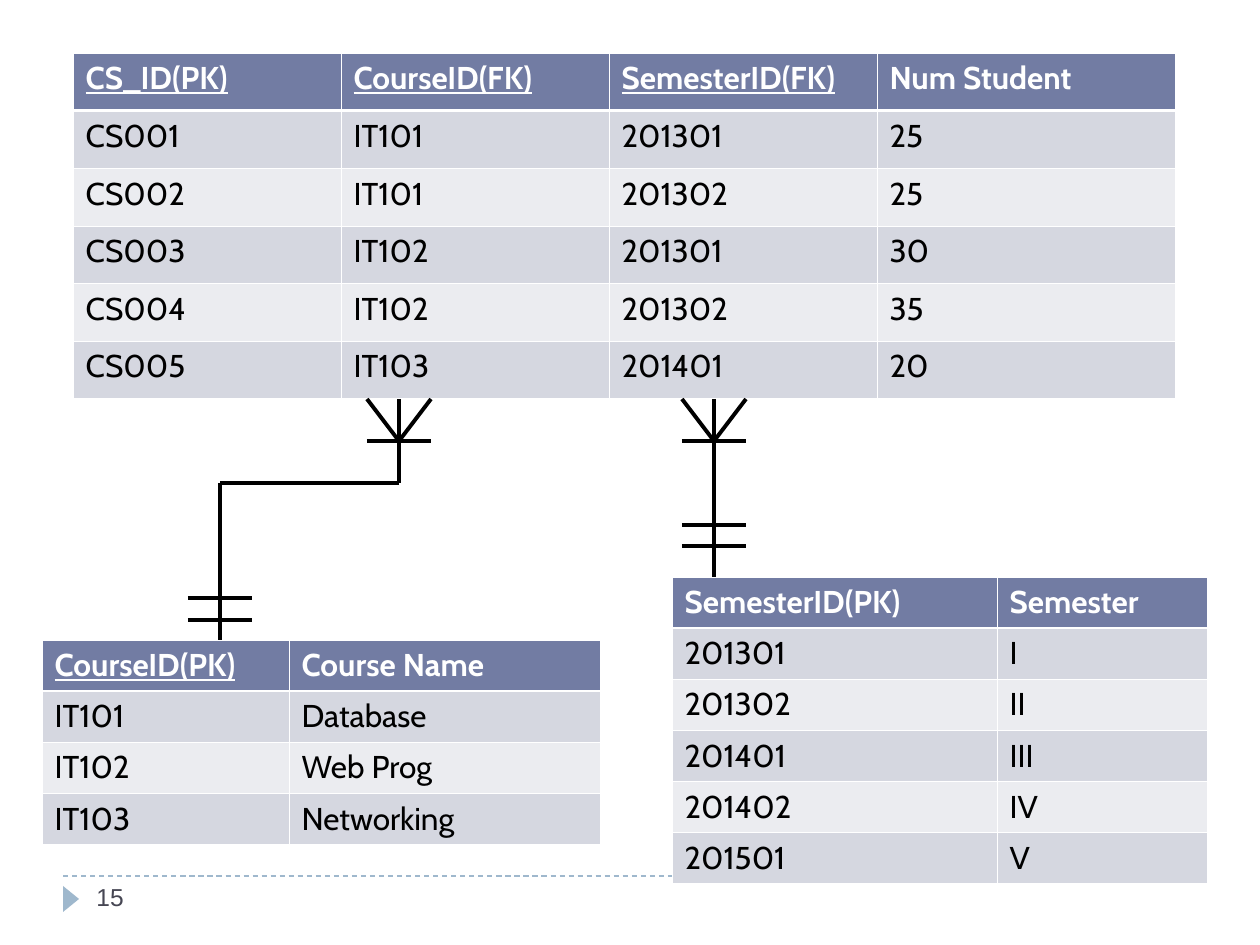
from dataclasses import dataclass
from lxml.etree import SubElement
from pptx import Presentation
from pptx.dml.color import RGBColor
from pptx.enum.dml import MSO_LINE
from pptx.enum.shapes import MSO_CONNECTOR, MSO_SHAPE
from pptx.oxml import parse_xml
from pptx.oxml.ns import nsdecls, qn
from pptx.util import Emu, Pt


@dataclass(frozen=True)
class Theme:
    header: str = "727CA3"
    bands: tuple = ("D5D7E0", "EBECF0")
    white: str = "FFFFFF"
    ink: str = "000000"
    accent: str = "9FB8CD"
    number: str = "464653"
    table_font: str = "Cabin"
    number_font: str = "Arial"
    table_size: int = 18
    number_size: int = 14
    relation_width: float = 2.25
    footer_width: float = 0.75
    grid_width: float = 0.45
    header_rule: float = 1.47


THEME = Theme()
PX = 914400 / 126

SEMESTERS = {
    "at": (672, 577), "columns": (325, 210), "height": 305, "keys": (),
    "rows": [
        ("SemesterID(PK)", "Semester"),
        ("201301", "I"),
        ("201302", "II"),
        ("201401", "III"),
        ("201402", "IV"),
        ("201501", "V"),
    ],
}
COURSES = {
    "at": (42, 640), "columns": (247, 311), "height": 204, "keys": (0,),
    "rows": [
        ("CourseID(PK)", "Course Name"),
        ("IT101", "Database"),
        ("IT102", "Web Prog"),
        ("IT103", "Networking"),
    ],
}
COURSE_SEMESTERS = {
    "at": (73, 53), "columns": (268, 268, 268, 298), "height": 346, "keys": (0, 1, 2),
    "rows": [
        ("CS_ID(PK)", "CourseID(FK)", "SemesterID(FK)", "Num Student"),
        ("CS001", "IT101", "201301", "25"),
        ("CS002", "IT101", "201302", "25"),
        ("CS003", "IT102", "201301", "30"),
        ("CS004", "IT102", "201302", "35"),
        ("CS005", "IT103", "201401", "20"),
    ],
}
MANY_TOP, MANY_BASE, HALF_BAR = 399, 441, 32
RELATIONS = [
    {"route": [(399, MANY_TOP), (399, 483), (220, 483), (220, 640)], "one_bars": (598, 620)},
    {"route": [(714, MANY_TOP), (714, 577)], "one_bars": (525, 546)},
]
PAGE_NUMBER = "15"


def px(length):
    return Emu(round(length * PX))


def rgb(color):
    return RGBColor.from_string(color)


def style_run(run, font, size, color, bold=False, underline=False):
    run.font.name = font
    run.font.size = Pt(size)
    run.font.bold = bold
    run.font.underline = underline
    run.font.color.rgb = rgb(color)


def add_line(slide, start, end, color=THEME.ink, width=THEME.relation_width):
    line = slide.shapes.add_connector(MSO_CONNECTOR.STRAIGHT, *map(px, (*start, *end)))
    line.line.color.rgb = rgb(color)
    line.line.width = Pt(width)
    SubElement(line._element.spPr, qn("a:effectLst"))
    return line


def set_borders(cell, top, bottom):
    widths = {"lnL": THEME.grid_width, "lnR": THEME.grid_width, "lnT": top, "lnB": bottom}
    for position, (side, width) in enumerate(widths.items()):
        border = parse_xml(
            f'<a:{side} {nsdecls("a")} w="{Pt(width)}"><a:solidFill>'
            f'<a:srgbClr val="{THEME.white}"/></a:solidFill></a:{side}>'
        )
        cell._tc.get_or_add_tcPr().insert(position, border)


def add_entity(slide, entity):
    rows, columns = entity["rows"], entity["columns"]
    table = slide.shapes.add_table(
        len(rows), len(columns),
        *map(px, (*entity["at"], sum(columns), entity["height"])),
    ).table
    for column, width in zip(table.columns, columns):
        column.width = px(width)
    for r, values in enumerate(rows):
        table.rows[r].height = px(entity["height"] / len(rows))
        is_header = r == 0
        fill = THEME.header if is_header else THEME.bands[(r - 1) % 2]
        top = THEME.header_rule if r == 1 else THEME.grid_width
        bottom = THEME.header_rule if is_header else THEME.grid_width
        for c, value in enumerate(values):
            cell = table.cell(r, c)
            cell.text = value
            cell.fill.solid()
            cell.fill.fore_color.rgb = rgb(fill)
            set_borders(cell, top, bottom)
            style_run(
                cell.text_frame.paragraphs[0].runs[0], THEME.table_font, THEME.table_size,
                THEME.white if is_header else THEME.ink,
                bold=is_header, underline=is_header and c in entity["keys"],
            )


def add_bar(slide, x, y):
    add_line(slide, (x - HALF_BAR, y), (x + HALF_BAR, y))


def add_relation(slide, relation):
    route = relation["route"]
    for start, end in zip(route, route[1:]):
        add_line(slide, start, end)
    many_x, one_x = route[0][0], route[-1][0]
    for offset in (-HALF_BAR, HALF_BAR):
        add_line(slide, (many_x, MANY_BASE), (many_x + offset, MANY_TOP))
    add_bar(slide, many_x, MANY_BASE)
    for y in relation["one_bars"]:
        add_bar(slide, one_x, y)


def add_footer_marks(slide):
    rule = add_line(slide, (63, 876), (1197, 876), THEME.accent, THEME.footer_width)
    rule.line.dash_style = MSO_LINE.DASH
    marker = slide.shapes.add_shape(MSO_SHAPE.ISOSCELES_TRIANGLE, *map(px, (58, 891, 26, 16)))
    marker.rotation = 90
    marker.shadow.inherit = False
    marker.fill.solid()
    marker.fill.fore_color.rgb = rgb(THEME.accent)
    marker.line.fill.background()


def add_page_number(slide):
    number = slide.shapes.add_textbox(*map(px, (84, 876, 273, 50))).text_frame
    number.word_wrap = True
    number.text = PAGE_NUMBER
    style_run(number.paragraphs[0].runs[0], THEME.number_font, THEME.number_size, THEME.number)


def main():
    deck = Presentation()
    deck.slide_width, deck.slide_height = px(1260), px(945)
    slide = deck.slides.add_slide(deck.slide_layouts[6])
    add_footer_marks(slide)
    for entity in (SEMESTERS, COURSES, COURSE_SEMESTERS):
        add_entity(slide, entity)
    add_page_number(slide)
    for relation in RELATIONS:
        add_relation(slide, relation)
    deck.save("out.pptx")


if __name__ == "__main__":
    main()
